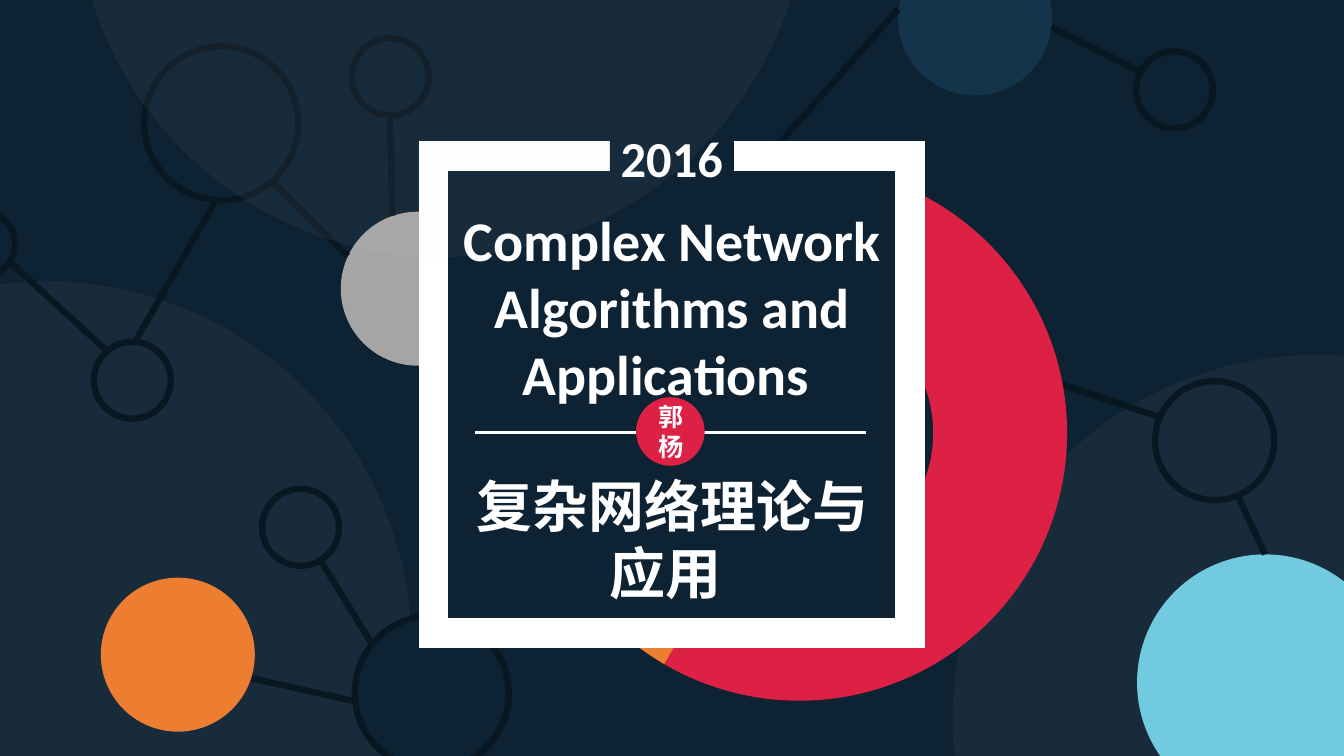
from dataclasses import dataclass

from lxml.etree import SubElement
from pptx import Presentation
from pptx.chart.data import CategoryChartData
from pptx.dml.color import RGBColor
from pptx.enum.chart import XL_CHART_TYPE
from pptx.enum.shapes import MSO_CONNECTOR, MSO_SHAPE
from pptx.enum.text import MSO_ANCHOR, PP_ALIGN
from pptx.oxml.ns import qn
from pptx.util import Pt


@dataclass(frozen=True)
class Theme:
    navy: str = "0D2232"
    ink: str = "091721"
    haze: str = "E7E6E6"
    white: str = "FFFFFF"
    black: str = "000000"
    red: str = "DC2144"
    orange: str = "ED7D31"
    grey: str = "A5A5A5"
    blue: str = "14344C"
    sky: str = "71CAE0"
    latin: str = "Calibri"
    chinese: str = "Noto Sans CJK SC"
    title_size: float = 40
    year_size: float = 36
    badge_size: float = 18
    chart_size: float = 10
    network_line: float = 4.5
    divider_line: float = 2.25
    frame_line: float = 21.25


class Cover:
    def __init__(self, slide, theme):
        self.slide = slide
        self.theme = theme
        slide.background.fill.solid()
        slide.background.fill.fore_color.rgb = RGBColor.from_string(theme.navy)

    def shape(self, kind, left, top, width, height, fill=None, line=None,
              line_width=0, opacity=None):
        """Add a preset shape; opacity is the percentage of its fill."""
        shape = self.slide.shapes.add_shape(kind, Pt(left), Pt(top), Pt(width), Pt(height))
        shape.shadow.inherit = False
        if fill:
            shape.fill.solid()
            shape.fill.fore_color.rgb = RGBColor.from_string(fill)
            if opacity is not None:
                color = shape._element.spPr.find(qn("a:solidFill"))[0]
                SubElement(color, qn("a:alpha")).set("val", str(opacity * 1000))
        else:
            shape.fill.background()
        if line:
            shape.line.color.rgb = RGBColor.from_string(line)
            shape.line.width = Pt(line_width)
        else:
            shape.line.fill.background()
        return shape

    def circle(self, left, top, diameter, **style):
        return self.shape(MSO_SHAPE.OVAL, left, top, diameter, diameter, **style)

    def haze(self, left, top):
        return self.circle(left, top, 522, fill=self.theme.haze, opacity=5)

    def ring(self, left, top, diameter, fill=None):
        return self.circle(left, top, diameter, fill=fill, line=self.theme.ink,
                           line_width=self.theme.network_line)

    def frame(self, left, top, side):
        """Add the square with a thick, sharp-cornered border."""
        frame = self.shape(MSO_SHAPE.RECTANGLE, left, top, side, side, self.theme.navy,
                           self.theme.white, self.theme.frame_line)
        border = frame._element.spPr.find(qn("a:ln"))
        SubElement(border, qn("a:miter")).set("lim", "800000")
        return frame

    def line(self, start_x, start_y, end_x, end_y, color, width):
        line = self.slide.shapes.add_connector(
            MSO_CONNECTOR.STRAIGHT, Pt(start_x), Pt(start_y), Pt(end_x), Pt(end_y))
        line.line.color.rgb = RGBColor.from_string(color)
        line.line.width = Pt(width)
        SubElement(line._element.spPr, qn("a:effectLst"))
        return line

    def add_label(self, shape, text, size, font, align=PP_ALIGN.CENTER, wrap=True):
        frame = shape.text_frame
        frame.word_wrap = wrap
        frame.vertical_anchor = MSO_ANCHOR.TOP
        paragraph = frame.paragraphs[0]
        paragraph.alignment = align
        run = paragraph.add_run()
        run.text = text
        run.font.size = Pt(size)
        run.font.bold = True
        run.font.name = font
        run.font.color.rgb = RGBColor.from_string(self.theme.white)
        east_asian = SubElement(run._r.get_or_add_rPr(), qn("a:ea"))
        east_asian.set("typeface", font)

    def text(self, left, top, width, height, text, size, font, align=PP_ALIGN.CENTER):
        box = self.slide.shapes.add_textbox(Pt(left), Pt(top), Pt(width), Pt(height))
        self.add_label(box, text, size, font, align)
        return box

    def doughnut(self, left, top, width, height, slices):
        """Add a doughnut chart from (value, color) pairs."""
        data = CategoryChartData()
        data.categories = [str(number) for number in range(1, len(slices) + 1)]
        data.add_series("Series 1", [value for value, color in slices])
        chart = self.slide.shapes.add_chart(
            XL_CHART_TYPE.DOUGHNUT, Pt(left), Pt(top), Pt(width), Pt(height), data).chart
        chart.has_title = False
        chart.has_legend = False
        chart.font.name = self.theme.latin
        chart.font.size = Pt(self.theme.chart_size)
        chart.font.color.rgb = RGBColor.from_string(self.theme.black)
        plot = chart.plots[0]
        plot.vary_by_categories = True
        plot._element.find(qn("c:holeSize")).set("val", "75")
        for index, (value, color) in enumerate(slices):
            point = plot.series[0].points[index].format
            point.fill.solid()
            point.fill.fore_color.rgb = RGBColor.from_string(color)
            point.line.fill.background()


def draw_network(cover):
    theme = cover.theme
    large, small = 110, 55
    for left, top, diameter in [
        (-35.3, 151.2, 46), (103, 33.1, large), (67, 244.1, small),
        (251.3, 27.4, small), (811.4, 36.7, small), (187.2, 349.2, small),
        (825.1, 272.2, 85),
    ]:
        cover.ring(left, top, diameter)
    cover.ring(253.4, 439.9, large, fill=theme.navy)
    for left, top, diameter, color in [
        (243.4, 151.2, large, theme.grey), (641.5, -41.8, large, theme.blue),
        (72, 412.6, large, theme.orange), (812.2, 396, 183, theme.sky),
    ]:
        cover.circle(left, top, diameter, fill=color)
    for ends in [
        (7.2, 187.2, 76.3, 250.6), (96.5, 244.1, 154.1, 143.3),
        (280.1, 154.1, 278.6, 82.1), (194.4, 129.6, 248.4, 182.9),
        (751, 19.4, 814.3, 51.1), (641.5, 6.5, 537.8, 123.8),
        (265.7, 460.1, 229, 400.3), (180, 484.6, 254.2, 501.1),
        (828.7, 298.1, 746.6, 270.7), (884.2, 354.2, 903.6, 396),
    ]:
        cover.line(*ends, theme.ink, theme.network_line)


def draw_title_card(cover):
    theme = cover.theme
    cover.frame(309.6, 111.6, 340.6)
    cover.text(321.1, 143.3, 318.2, 152.6, "Complex Network Algorithms and Applications ",
               theme.title_size, theme.latin)
    cover.text(321.1, 333.4, 318.2, 104.4, "复杂网络理论与应用 ",
               theme.title_size, theme.chinese)
    year = cover.shape(MSO_SHAPE.RECTANGLE, 435.6, 87.1, 88.6, 51.1, theme.navy)
    cover.add_label(year, "2016", theme.year_size, theme.latin, wrap=False)
    cover.line(339.1, 308.9, 618.5, 308.9, theme.white, theme.divider_line)
    cover.circle(454.3, 283.7, 49, fill=theme.red)


def main():
    presentation = Presentation()
    presentation.slide_width = Pt(960)
    presentation.slide_height = Pt(540)
    theme = Theme()
    cover = Cover(presentation.slides.add_slide(presentation.slide_layouts[6]), theme)
    cover.haze(680.4, 253.4)
    cover.haze(-228.2, 200.9)
    draw_network(cover)
    cover.doughnut(360.7, 108, 420.5, 402.5, [
        (59, theme.red), (23, theme.orange), (10, theme.grey), (9, theme.blue)])
    draw_title_card(cover)
    cover.haze(54, -338.4)
    cover.text(463, 283, 49.7, 51.1, "郭杨", theme.badge_size, theme.chinese, PP_ALIGN.LEFT)
    presentation.save("out.pptx")


if __name__ == "__main__":
    main()
